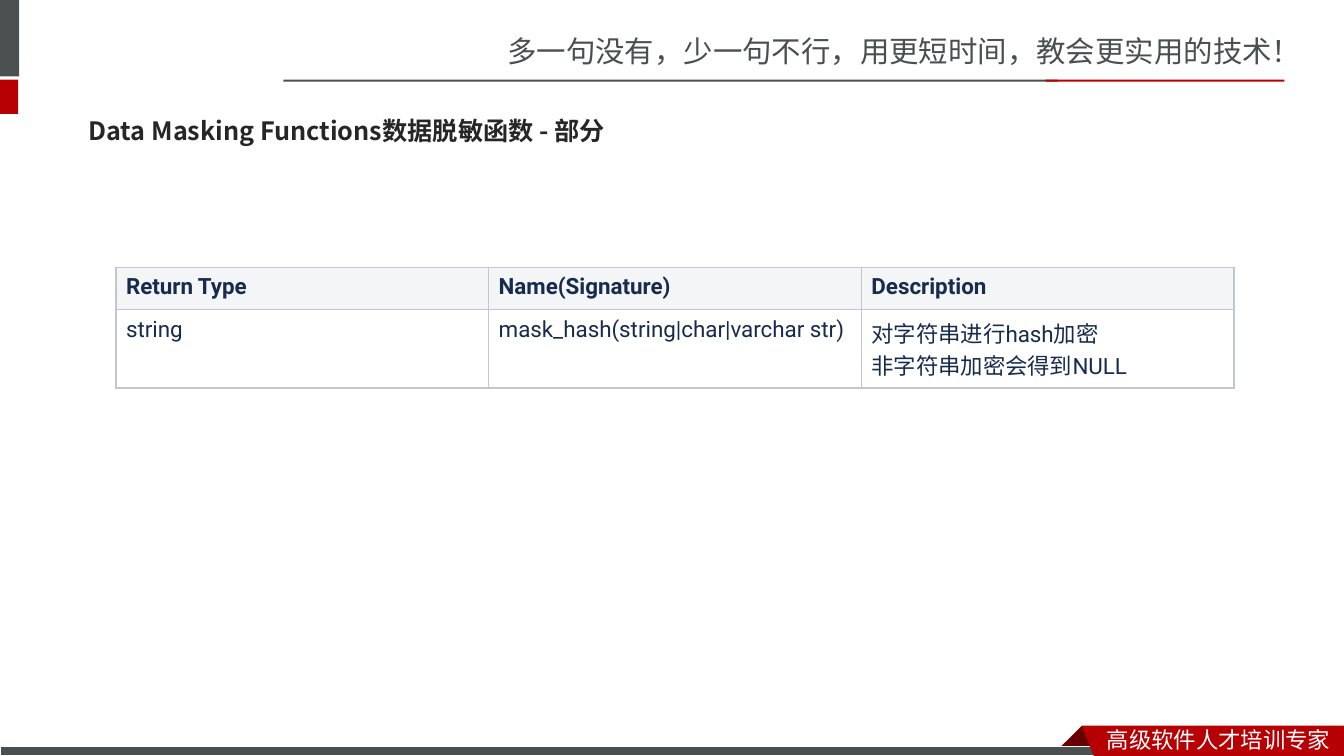
from lxml.etree import SubElement as Sub, Element as Elem
from pptx import Presentation
from pptx.dml.color import RGBColor as Rgb
from pptx.enum.shapes import MSO_SHAPE as Kind
from pptx.enum.text import MSO_ANCHOR as Anchor
from pptx.oxml.ns import qn
from pptx.util import Inches, Pt

WIDE, HIGH = 13.33, 7.5
GREY, RED, DARK, WHITE = "49504F", "B60004", "680000", "FFFFFF"
HAN = "Noto Sans CJK SC"
ROWS = [
    ["Return Type", "Name(Signature)", "Description"],
    ["string", "mask_hash(string|char|varchar str)",
     "对字符串进行hash加密\n非字符串加密会得到NULL"],
]


def color(code):
    return Rgb.from_string(code)


def paint(shape, fill):
    shape.shadow.inherit = False
    shape.fill.solid()
    shape.fill.fore_color.rgb = color(fill)
    shape.line.fill.background()
    return shape


def bar(slide, box, fill):
    return paint(slide.shapes.add_shape(Kind.RECTANGLE, *map(Inches, box)), fill)


def shard(slide, points, fill):
    first, *rest = [(Inches(x), Inches(y)) for x, y in points]
    path = slide.shapes.build_freeform(*first)
    path.add_line_segments(rest, close=True)
    return paint(path.convert_to_shape(), fill)


def style(frame, size, tint, face, han=HAN, bold=False):
    for para in frame.paragraphs:
        for run in para.runs:
            font = run.font
            font.size, font.bold, font.name = Pt(size), bold, face
            font.color.rgb = color(tint)
            Sub(font._element, qn("a:ea"), typeface=han)


def label(slide, box, text, size, tint, face=HAN, bold=False):
    frame = slide.shapes.add_textbox(*map(Inches, box)).text_frame
    frame.word_wrap = True
    frame.text = text
    style(frame, size, tint, face, face, bold)
    return frame


def edge(cell, tint):
    props = cell._tc.get_or_add_tcPr()
    for spot, side in enumerate(("lnL", "lnR", "lnT", "lnB")):
        line = Elem(qn(f"a:{side}"), w=str(Pt(1)))
        Sub(Sub(line, qn("a:solidFill")), qn("a:srgbClr"), val=tint)
        props.insert(spot, line)


# Corner blocks, slogan and two-tone rule
def header(slide, x, y, w, h):
    bar(slide, (x, y, 0.19, h * 0.67), GREY)
    bar(slide, (x, y + h * 0.7, 0.18, h * 0.3), RED)
    label(slide, (x + w * 0.37, y + h * 0.25, w * 0.63, 0.45),
          "多一句没有，少一句不行，用更短时间，教会更实用的技术！", 21, GREY)
    rule = y + h * 0.7
    bar(slide, (x + 2.81, rule, 7.68, 0.02), GREY)
    bar(slide, (x + 10.37, rule, 2.37, 0.02), RED)


# Bottom strip with a folded ribbon
def footer(slide, x, y, w, h):
    fold, base = x + w - 2.6, y + h
    shard(slide, [(fold, y), (fold + 0.22, y + 0.22), (fold + 0.21, y + 0.23),
                  (fold - 0.21, y + 0.23), (fold - 0.22, y + 0.22)], DARK)
    strip = bar(slide, (x, base - 0.09, w - 2.34, 0.09), GREY)
    strip.line.color.rgb = color(WHITE)
    strip.line.width = Pt(0.75)
    shard(slide, [(fold, y), (x + w, y), (x + w, base), (fold + 0.12, base)], RED)
    label(slide, (fold + 0.15, y - 0.05, 2.45, 0.35), "高级软件人才培训专家", 16, WHITE)


def title(slide, x, y, w, h):
    frame = label(slide, (x, y, w, h), "Data Masking Functions数据脱敏函数 - 部分",
                  18, "262626", "Noto Sans CJK JP", True)
    frame.vertical_anchor = Anchor.MIDDLE
    frame.paragraphs[0].line_spacing = 0.9


# Function table, equal columns
def grid(slide, x, y, w, h):
    table = slide.shapes.add_table(len(ROWS), len(ROWS[0]),
                                   *map(Inches, (x, y, w, h))).table
    table.horz_banding = False
    for col in table.columns:
        col.width = Inches(w / len(ROWS[0]))
    for row, share in zip(table.rows, (0.35, 0.65)):
        row.height = Inches(h * share)
    for r, texts in enumerate(ROWS):
        for c, text in enumerate(texts):
            cell = table.cell(r, c)
            cell.text = text
            cell.margin_left = cell.margin_right = Inches(0.1)
            cell.margin_top = cell.margin_bottom = Inches(0.07)
            cell.fill.solid()
            cell.fill.fore_color.rgb = color(WHITE if r else "F4F5F7")
            edge(cell, "C1C7D0")
            style(cell.text_frame, 16, "172B4D", "Roboto", bold=r == 0)


def main():
    deck = Presentation()
    deck.slide_width, deck.slide_height = Inches(WIDE), Inches(HIGH)
    slide = deck.slides.add_slide(deck.slide_layouts[6])
    header(slide, 0, 0, WIDE, 1.13)
    footer(slide, 0, HIGH - 0.3, WIDE, 0.3)
    title(slide, 0.78, 1.03, 11.7, 0.57)
    grid(slide, 1.15, 2.65, 11.09, 1.2)
    deck.save("out.pptx")


if __name__ == "__main__":
    main()
